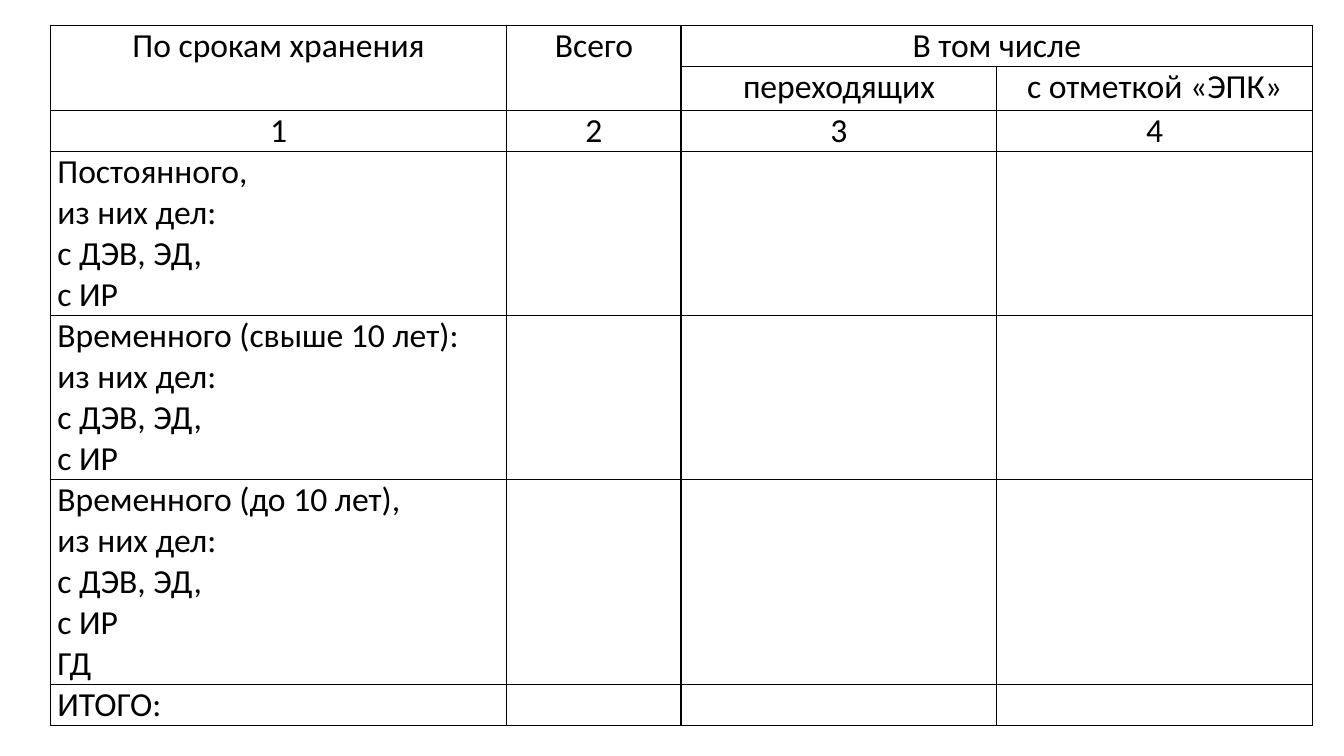
from pptx import Presentation
from pptx.dml.color import RGBColor
from pptx.enum.text import MSO_ANCHOR, PP_ALIGN
from pptx.oxml import parse_xml
from pptx.oxml.ns import nsdecls
from pptx.util import Pt

# Content: one entry per table row, one text per cell
HEADER = [
    ["По срокам хранения", "Всего", "В том числе", ""],
    ["", "", "переходящих", "с отметкой «ЭПК»"],
    ["1", "2", "3", "4"],
]
CASES = ["из них дел:", "с ДЭВ, ЭД,", "с ИР"]
TERMS = [
    ["Постоянного,", *CASES],
    ["Временного (свыше 10 лет):", *CASES],
    ["Временного (до 10 лет),", *CASES, "ГД"],
    ["ИТОГО:"],
]
MERGES = [((0, 0), (1, 0)), ((0, 1), (1, 1)), ((0, 2), (0, 3))]

THEME = {"font": "Calibri", "size": 24, "text": "000000", "border": "000000", "border_width": 1}

# Geometry in points
LEFT, TOP = 36, 18
COLUMN_WIDTHS = [326, 124.5, 225.5, 225.5]
LINE_HEIGHT = 29.3
SUBHEADER_HEIGHT = 31.7
SIDE_MARGIN = 5

rows = HEADER + [["\n".join(term), "", "", ""] for term in TERMS]
row_heights = [LINE_HEIGHT * (row[0].count("\n") + 1) for row in rows]
row_heights[1] = SUBHEADER_HEIGHT


def draw_borders(cell):
    properties = cell._tc.get_or_add_tcPr()
    for position, side in enumerate(("lnL", "lnR", "lnT", "lnB")):
        properties.insert(position, parse_xml(
            f'<a:{side} {nsdecls("a")} w="{Pt(THEME["border_width"])}"><a:solidFill>'
            f'<a:srgbClr val="{THEME["border"]}"/></a:solidFill></a:{side}>'))


def fill_cell(cell, text, align):
    cell.margin_left = cell.margin_right = Pt(SIDE_MARGIN)
    cell.margin_top = cell.margin_bottom = 0
    cell.vertical_anchor = MSO_ANCHOR.TOP
    cell.fill.background()
    draw_borders(cell)
    if not text:
        return
    cell.text_frame.text = text
    for paragraph in cell.text_frame.paragraphs:
        paragraph.alignment = align
        for run in paragraph.runs:
            run.font.name = THEME["font"]
            run.font.size = Pt(THEME["size"])
            run.font.color.rgb = RGBColor.from_string(THEME["text"])


# Slide
deck = Presentation()
deck.slide_width, deck.slide_height = Pt(960), Pt(540)
slide = deck.slides.add_slide(deck.slide_layouts[6])

# Table of storage terms
storage = slide.shapes.add_table(
    len(rows), len(COLUMN_WIDTHS), Pt(LEFT), Pt(TOP),
    Pt(sum(COLUMN_WIDTHS)), Pt(sum(row_heights))).table
storage.first_row = storage.horz_banding = False
for column, width in zip(storage.columns, COLUMN_WIDTHS):
    column.width = Pt(width)
for row, height in zip(storage.rows, row_heights):
    row.height = Pt(height)

for r, texts in enumerate(rows):
    align = PP_ALIGN.CENTER if r < len(HEADER) else PP_ALIGN.LEFT
    for c, text in enumerate(texts):
        fill_cell(storage.cell(r, c), text, align)

# Header spans
for first, last in MERGES:
    storage.cell(*first).merge(storage.cell(*last))

deck.save("out.pptx")
